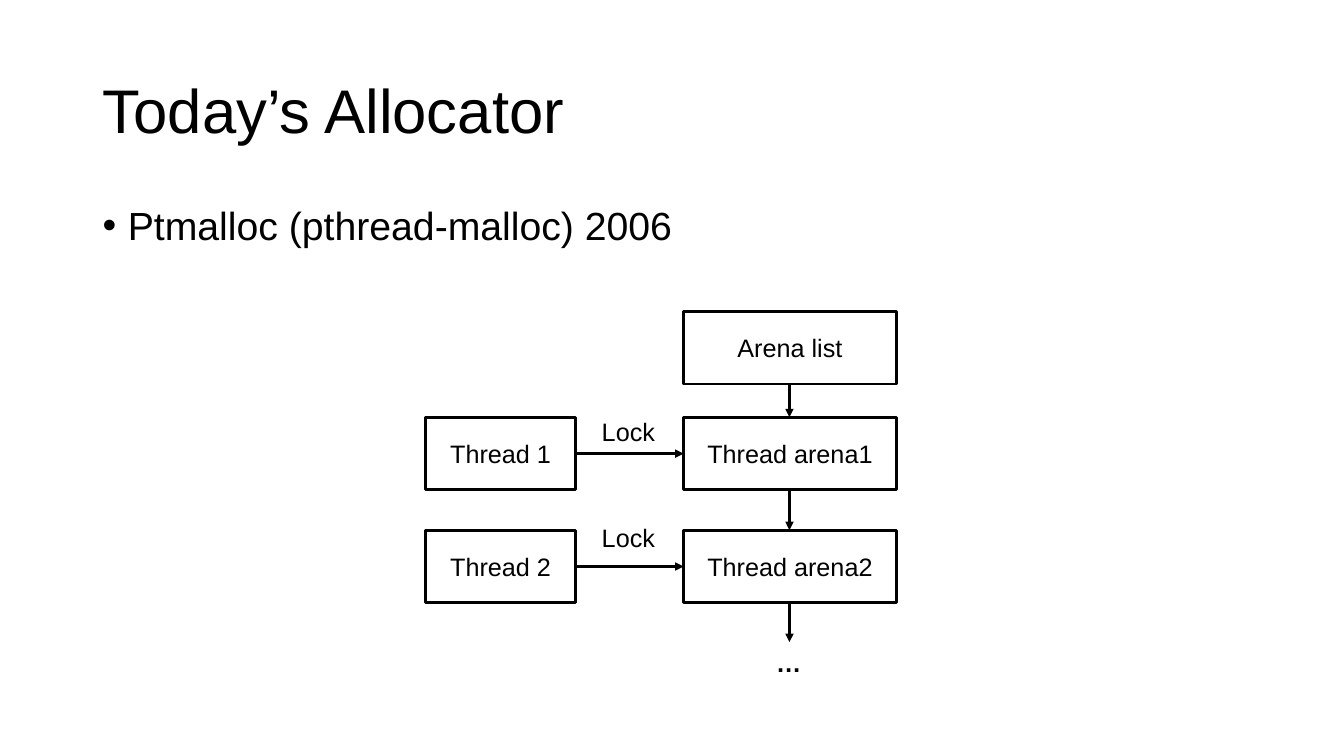
from dataclasses import dataclass
from pptx import Presentation
from pptx.dml.color import RGBColor as RGB
from pptx.enum.shapes import MSO_CONNECTOR as Link, MSO_SHAPE as Shape
from pptx.enum.text import MSO_ANCHOR as Anchor, MSO_AUTO_SIZE as Fit, PP_ALIGN as Align
from pptx.oxml.ns import qn
from pptx.util import Pt
from lxml.etree import SubElement as Sub

SCALE = 9144  # EMU in one px, 100 px to the inch


@dataclass(frozen=True)
class Theme:
    ink: RGB = RGB(0, 0, 0)
    font: str = "Arial"
    title: int = 44
    body: int = 28
    label: int = 18
    line: int = 2


THEME = Theme()


def px(*sizes):
    return [size * SCALE for size in sizes]


def write(para, text, size, bold=None):
    run = para.add_run()
    run.text = text
    font = run.font
    font.name, font.size, font.bold = THEME.font, Pt(size), bold
    font.color.rgb = THEME.ink


def add_title(slide, text):
    title = slide.shapes.title
    title.left, title.top, title.width, title.height = px(92, 40, 1150, 145)
    frame = title.text_frame
    frame.auto_size = Fit.NONE
    frame.vertical_anchor = Anchor.MIDDLE
    para = frame.paragraphs[0]
    para.alignment, para.line_spacing = Align.LEFT, 0.9
    write(para, text, THEME.title)


def add_point(slide, text):
    frame = slide.shapes.add_textbox(*px(92, 200, 1150, 476)).text_frame
    frame.word_wrap = True
    para = frame.paragraphs[0]
    props = para._p.get_or_add_pPr()
    indent = 25 * SCALE
    props.set("marL", str(indent))
    props.set("indent", str(-indent))
    Sub(props, qn("a:buFont"), typeface=THEME.font)
    Sub(props, qn("a:buChar"), char="•")
    para.line_spacing = 0.9
    write(para, text, THEME.body)


def add_box(slide, text, left, top, width, height):
    box = slide.shapes.add_shape(Shape.RECTANGLE, *px(left, top, width, height))
    box.shadow.inherit = False
    box.fill.background()
    box.line.color.rgb = THEME.ink
    box.line.width = Pt(THEME.line)
    frame = box.text_frame
    frame.vertical_anchor = Anchor.MIDDLE
    para = frame.paragraphs[0]
    para.alignment = Align.CENTER
    write(para, text, THEME.label)


def add_label(slide, text, left, top, width, bold=None):
    frame = slide.shapes.add_textbox(*px(left, top, width, 40)).text_frame
    frame.word_wrap = False
    frame.auto_size = Fit.SHAPE_TO_FIT_TEXT
    write(frame.paragraphs[0], text, THEME.label, bold)


def add_arrow(slide, x1, y1, x2, y2):
    arrow = slide.shapes.add_connector(Link.STRAIGHT, *px(x1, y1, x2, y2))
    arrow.line.color.rgb = THEME.ink
    arrow.line.width = Pt(THEME.line)
    Sub(arrow.line._get_or_add_ln(), qn("a:tailEnd"), type="triangle")
    Sub(arrow._element.spPr, qn("a:effectLst"))


def main():
    deck = Presentation()
    deck.slide_width, deck.slide_height = px(1333, 750)
    slide = deck.slides.add_slide(deck.slide_layouts[5])
    add_title(slide, "Today’s Allocator")
    add_point(slide, "Ptmalloc (pthread-malloc) 2006")

    thread, arena = 422, 678
    slim, wide, high = 149, 211, 72
    mid = arena + wide // 2
    rows = [309, 414, 526]
    add_box(slide, "Arena list", arena, rows[0], wide, high)
    for num, (top, tag) in enumerate(zip(rows[1:], [408, 513]), 1):
        add_box(slide, f"Thread {num}", thread, top, slim, high)
        add_box(slide, f"Thread arena{num}", arena, top, wide, high)
        centre = top + high // 2
        add_arrow(slide, thread + slim, centre, arena, centre)
        add_label(slide, "Lock", 587, tag, 73)

    end = 637
    for top, below in zip(rows, rows[1:] + [end]):
        add_arrow(slide, mid, top + high, mid, below)
    add_label(slide, "…", 760, end, 45, bold=True)
    deck.save("out.pptx")


if __name__ == "__main__":
    main()
